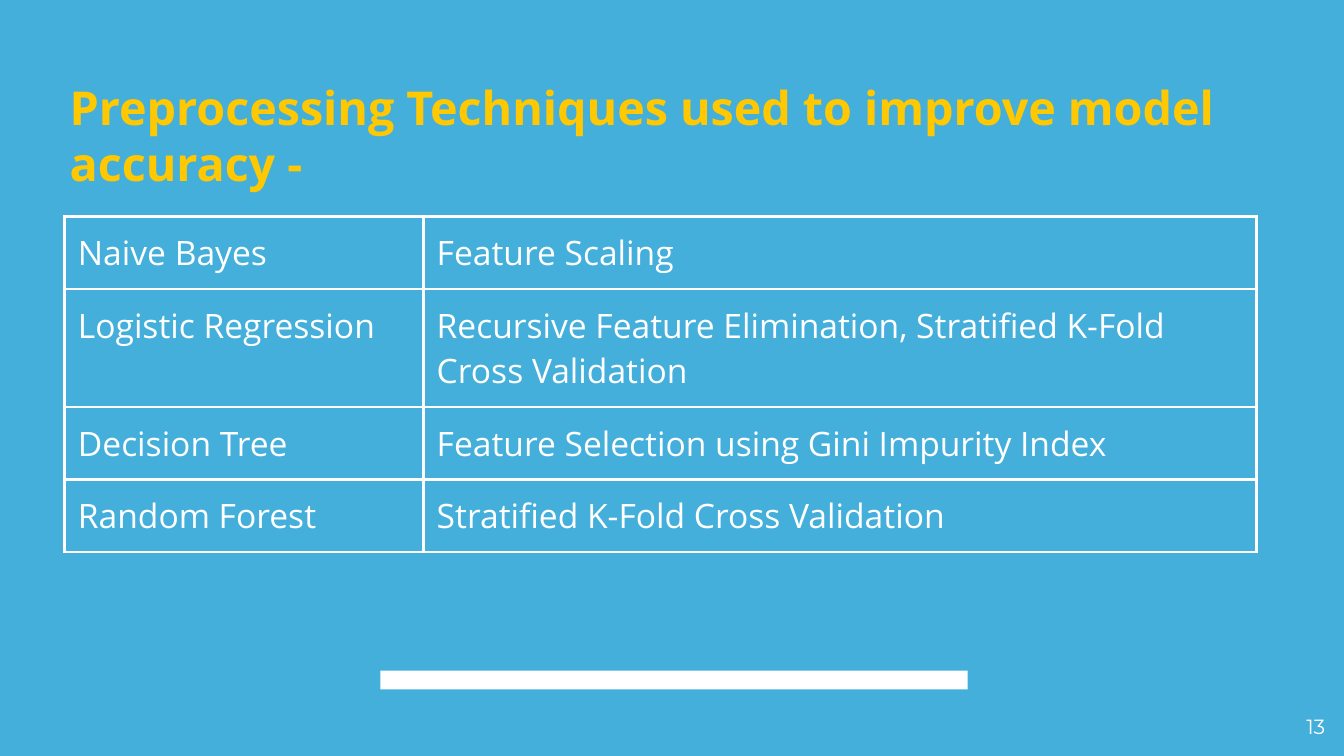
from lxml.etree import SubElement
from pptx import Presentation
from pptx.dml.color import RGBColor
from pptx.enum.shapes import MSO_SHAPE
from pptx.enum.text import MSO_AUTO_SIZE, PP_ALIGN
from pptx.oxml.ns import qn
from pptx.util import Inches, Pt

COLORS = {"sky": "45AFDC", "white": "FFFFFF", "gold": "FFC800"}
TECHNIQUES = [
    ("Naive Bayes", "Feature Scaling"),
    ("Logistic Regression",
     "Recursive Feature Elimination, Stratified K-Fold Cross Validation"),
    ("Decision Tree", "Feature Selection using Gini Impurity Index"),
    ("Random Forest", "Stratified K-Fold Cross Validation"),
]
COLUMN_WIDTHS = [2.67, 6.2]
ROW_HEIGHTS = [0.54, 0.88, 0.54, 0.54]


def write(frame, text, font_name, size, color, bold=False):
    """Fill a text frame with one formatted paragraph and return it."""
    frame.word_wrap = True
    frame.margin_left = frame.margin_right = Inches(0.1)
    frame.margin_top = frame.margin_bottom = Inches(0.1)
    frame.text = text
    paragraph = frame.paragraphs[0]
    font = paragraph.runs[0].font
    font.name, font.size, font.bold = font_name, Pt(size), bold
    font.color.rgb = RGBColor.from_string(COLORS[color])
    return paragraph


def add_borders(cell, color, width):
    properties = cell._tc.get_or_add_tcPr()
    for index, side in enumerate(("lnL", "lnR", "lnT", "lnB")):
        line = properties.makeelement(qn(f"a:{side}"), {"w": str(Pt(width))})
        fill = SubElement(line, qn("a:solidFill"))
        SubElement(fill, qn("a:srgbClr"), val=COLORS[color])
        properties.insert(index, line)


prs = Presentation()
prs.slide_width = Inches(10)
prs.slide_height = Inches(10 * 9 / 16)
slide = prs.slides.add_slide(prs.slide_layouts[6])
slide.background.fill.solid()
slide.background.fill.fore_color.rgb = RGBColor.from_string(COLORS["sky"])

# Footer bar and page number
bar = slide.shapes.add_shape(
    MSO_SHAPE.RECTANGLE, Inches(2.83), Inches(4.99), Inches(4.37), Inches(0.14))
bar.shadow.inherit = False
bar.fill.solid()
bar.fill.fore_color.rgb = RGBColor.from_string(COLORS["white"])
bar.line.fill.background()

page_number = slide.shapes.add_textbox(
    Inches(9.36), Inches(5.22), Inches(0.6), Inches(0.32))
number_line = write(page_number.text_frame, "13", "Montserrat", 11, "white")
number_line.alignment = PP_ALIGN.RIGHT

# Table of models and their techniques
table = slide.shapes.add_table(
    len(TECHNIQUES), len(COLUMN_WIDTHS), Inches(0.48), Inches(1.61),
    Inches(sum(COLUMN_WIDTHS)), Inches(sum(ROW_HEIGHTS))).table
table.first_row = table.horz_banding = False
for column, width in zip(table.columns, COLUMN_WIDTHS):
    column.width = Inches(width)
for r, (height, entries) in enumerate(zip(ROW_HEIGHTS, TECHNIQUES)):
    table.rows[r].height = Inches(height)
    for c, entry in enumerate(entries):
        cell = table.cell(r, c)
        write(cell.text_frame, entry, "Open Sans", 18, "white")
        cell.margin_left = cell.margin_right = Inches(0.1)
        cell.margin_top = cell.margin_bottom = Inches(0.1)
        cell.fill.background()
        add_borders(cell, "white", 1.5)

# Title
title = slide.shapes.add_textbox(
    Inches(0.42), Inches(0.49), Inches(8.88), Inches(1.04))
write(title.text_frame, "Preprocessing Techniques used to improve model accuracy -",
      "Open Sans", 25, "gold", bold=True)
title.text_frame.auto_size = MSO_AUTO_SIZE.SHAPE_TO_FIT_TEXT

prs.save("out.pptx")
